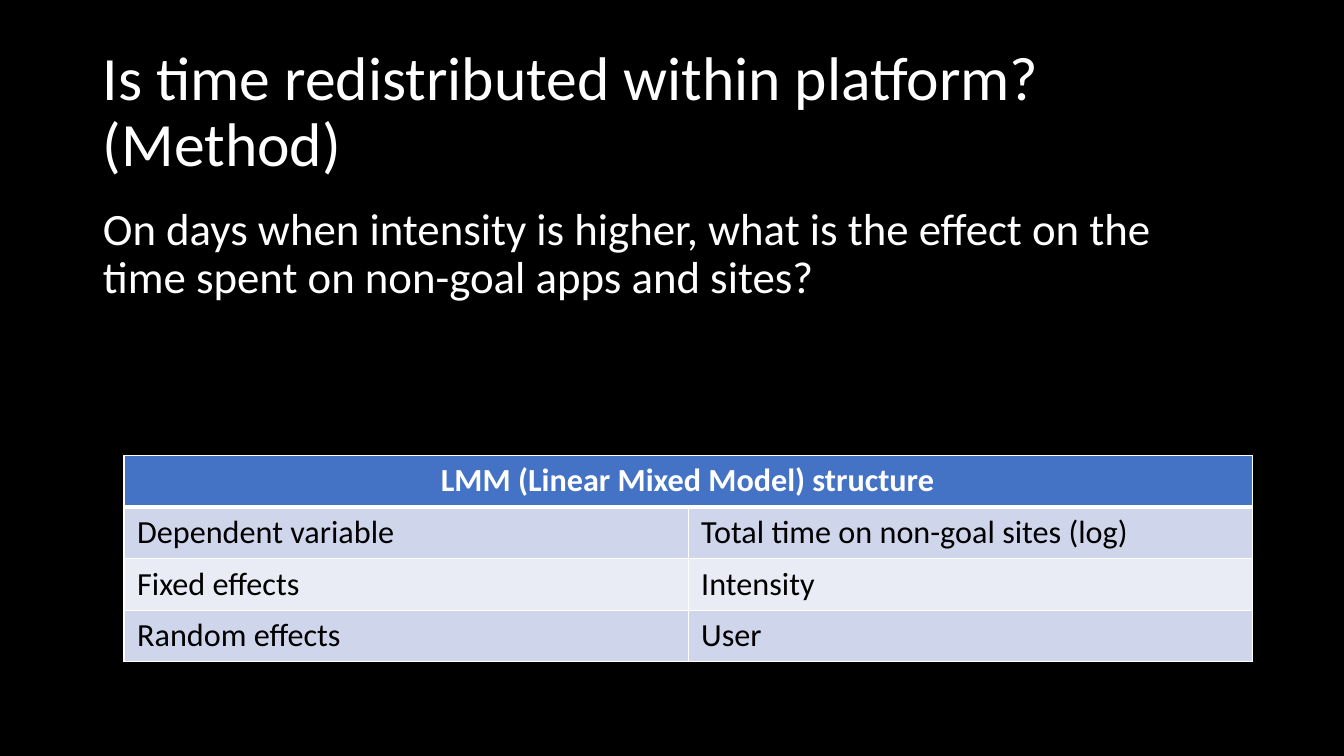
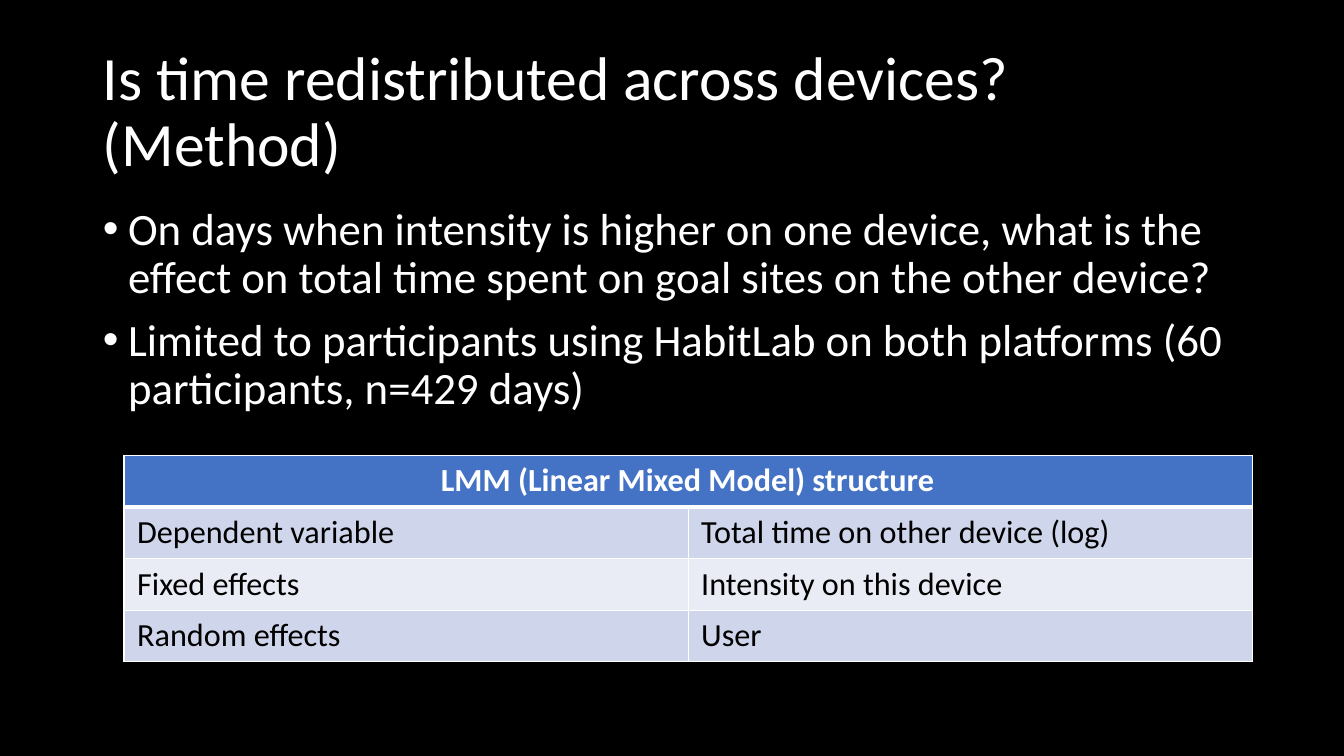
import pptx
import pptx.dml.color
import pptx.enum.text
import pptx.oxml
import pptx.oxml.ns
import pptx.util
from pptx.util import Inches

BLACK, WHITE = "000000", "FFFFFF"
HEADER_BLUE = "4472C4"
BANDS = ("CFD5EA", "E9EBF5")
ALIGN = pptx.enum.text.PP_ALIGN
ANCHOR = pptx.enum.text.MSO_ANCHOR
NAMESPACE = pptx.oxml.ns.nsdecls("a")


def rgb(code):
    return pptx.dml.color.RGBColor.from_string(code)


def write(paragraph, text, size, color=WHITE, bold=False, align=ALIGN.LEFT,
          line_spacing=1.0, before=0):
    paragraph.alignment = align
    paragraph.line_spacing = line_spacing
    paragraph.space_before = pptx.util.Pt(before)
    run = paragraph.add_run()
    run.text = text
    run.font.name = "Calibri"
    run.font.size = pptx.util.Pt(size)
    run.font.bold = bold
    run.font.color.rgb = rgb(color)


def set_bullet(paragraph, bulleted):
    """Give the paragraph a hanging bullet, or remove the inherited one."""
    properties = paragraph._p.get_or_add_pPr()
    indent = Inches(0.25) if bulleted else 0
    properties.set("marL", str(indent))
    properties.set("indent", str(-indent))
    mark = '<a:buChar {} char="•"/>' if bulleted else "<a:buNone {}/>"
    properties.append(pptx.oxml.parse_xml(mark.format(NAMESPACE)))


def set_borders(cell, top=1, bottom=1):
    """Draw white borders; top and bottom widths are in points."""
    properties = cell._tc.get_or_add_tcPr()
    widths = {"lnL": 1, "lnR": 1, "lnT": top, "lnB": bottom}
    for position, (side, width) in enumerate(widths.items()):
        properties.insert(position, pptx.oxml.parse_xml(
            f'<a:{side} {NAMESPACE} w="{pptx.util.Pt(width)}"><a:solidFill>'
            f'<a:srgbClr val="{WHITE}"/></a:solidFill></a:{side}>'))


class Deck:
    """Holds the shared style and the slide being built."""

    def __init__(self):
        self.presentation = pptx.Presentation()
        self.presentation.slide_width = Inches(13.33)
        self.presentation.slide_height = Inches(7.5)
        backdrop = self.presentation.slide_master.background.fill
        backdrop.solid()
        backdrop.fore_color.rgb = rgb(BLACK)
        self.slide = None

    def add_slide(self):
        layout = self.presentation.slide_layouts[1]
        self.slide = self.presentation.slides.add_slide(layout)

    def place(self, placeholder, top, width, height, anchor):
        """Move a placeholder to the left margin and return its text frame."""
        placeholder.left, placeholder.top = Inches(0.92), Inches(top)
        placeholder.width, placeholder.height = Inches(width), Inches(height)
        frame = placeholder.text_frame
        frame.word_wrap = True
        frame.auto_size = pptx.enum.text.MSO_AUTO_SIZE.NONE
        frame.vertical_anchor = anchor
        return frame

    def title(self, text, width=11.5):
        frame = self.place(self.slide.shapes.title, 0.4, width, 1.45, ANCHOR.MIDDLE)
        write(frame.paragraphs[0], text, 44, line_spacing=0.9)

    def body(self, texts, height, bulleted):
        frame = self.place(self.slide.placeholders[1], 2, 11.5, height, ANCHOR.TOP)
        for index, text in enumerate(texts):
            paragraph = frame.add_paragraph() if index else frame.paragraphs[0]
            set_bullet(paragraph, bulleted)
            write(paragraph, text, 32, line_spacing=0.9, before=10 if index else 0)

    def cell(self, cell, text, fill, margins, top=1, bottom=1, **text_format):
        cell.fill.solid()
        cell.fill.fore_color.rgb = rgb(fill)
        set_borders(cell, top, bottom)
        side, edge = margins
        cell.margin_left = cell.margin_right = Inches(side)
        cell.margin_top = cell.margin_bottom = Inches(edge)
        if text:
            write(cell.text_frame.paragraphs[0], text, 23, **text_format)

    def model_table(self, heading, rows):
        """Add a two-column table under one heading that spans it."""
        table = self.slide.shapes.add_table(
            len(rows) + 1, 2, Inches(1.23), Inches(4.52),
            Inches(11.19), Inches(0.51 * (len(rows) + 1))).table
        table.cell(0, 0).merge(table.cell(0, 1))
        for column, text in enumerate((heading, "")):
            self.cell(table.cell(0, column), text, HEADER_BLUE, (0.1, 0.05),
                      bottom=3, bold=True, align=ALIGN.CENTER)
        for number, row in enumerate(rows, 1):
            for column, text in enumerate(row):
                self.cell(table.cell(number, column), text, BANDS[(number - 1) % 2],
                          (0.13, 0.06), top=3 if number == 1 else 1, color=BLACK)

    def mixed_model(self, dependent, fixed):
        self.model_table("LMM (Linear Mixed Model) structure", [
            ("Dependent variable", dependent),
            ("Fixed effects", fixed),
            ("Random effects", "User"),
        ])


def main():
    deck = Deck()

    deck.add_slide()
    deck.title("Is time redistributed within platform? (Method)", width=11.87)
    deck.body(["On days when intensity is higher, what is the effect on the "
               "time spent on non-goal apps and sites?"], 5.35, bulleted=False)
    deck.mixed_model("Total time on non-goal sites (log)", "Intensity")

    deck.add_slide()
    deck.title("Is time redistributed across devices? (Method)")
    deck.body(["On days when intensity is higher on one device, what is the "
               "effect on total time spent on goal sites on the other device?",
               "Limited to participants using HabitLab on both platforms "
               "(60 participants, n=429 days)"], 4.76, bulleted=True)
    deck.mixed_model("Total time on other device (log)", "Intensity on this device")

    deck.presentation.save("out.pptx")


if __name__ == "__main__":
    main()
